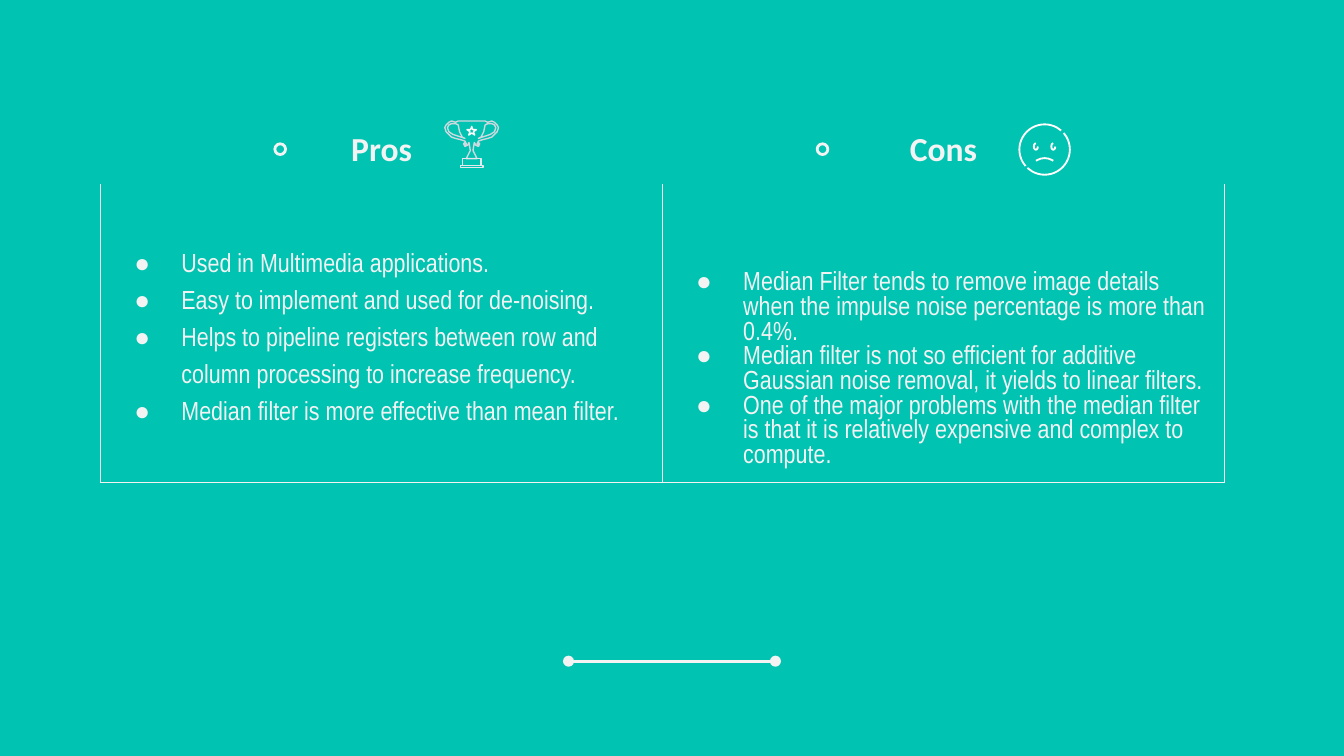
from collections import namedtuple

from lxml import etree
from pptx import Presentation, util as u
from pptx.dml.color import RGBColor
from pptx.enum import shapes, text
from pptx.oxml import ns

TEAL = RGBColor(0x00, 0xC3, 0xB1)
PALE = RGBColor(0xF3, 0xF3, 0xF3)
SILVER = RGBColor(0xCF, 0xD9, 0xE0)
MIST = RGBColor(0xE3, 0xE9, 0xED)
WHITE = RGBColor(0xFF, 0xFF, 0xFF)

WIDTH = u.Inches(10)
HEIGHT = WIDTH * 9 // 16
UNIT = WIDTH / 100
FINE = UNIT / 10
LIST_FONT = "Arial Narrow"
Box = namedtuple("Box", "left top width height")
Side = namedtuple("Side", "heading anchor spacing points")

PROS = Side("Pros", text.MSO_ANCHOR.MIDDLE, 1.5, [
    "Used in Multimedia applications.",
    "Easy to implement and used for de-noising.",
    "Helps to pipeline registers between row and column processing to increase frequency.",
    "Median filter is more effective than mean filter.",
])
CONS = Side("Cons", text.MSO_ANCHOR.BOTTOM, 1.0, [
    "Median Filter tends to remove image details when the impulse noise percentage is more than 0.4%.",
    "Median filter is not so efficient for additive Gaussian noise removal, it yields to linear filters.",
    "One of the major problems with the median filter is that it is relatively expensive and complex to compute.",
])

CUP_HALF = [(0, 0), (-10, 0), (-12, 1), (-15, 0), (-17, 1), (-19, 3), (-20, 5),
            (-19, 8), (-18, 9), (-15, 12), (-12, 13), (-8, 14), (-5, 15),
            (-4, 17), (-5, 18), (-5, 16), (-6, 17), (-5, 19), (-3, 18),
            (-2, 16), (-1, 22), (-4, 28)]
HANDLE_HOLE = [(-8, 12), (-11, 11), (-14, 10), (-17, 8), (-18, 5), (-17, 3),
               (-15, 2), (-12, 2), (-10, 3), (-9, 8), (-7, 12), (-5, 13)]


def emu(*lengths):
    """Turn grid units into whole EMU."""
    return [round(length * UNIT) for length in lengths]


def sub(parent, tag, **attributes):
    """Append a DrawingML element and return it."""
    return etree.SubElement(parent, ns.qn("a:" + tag), attributes)


def outline(shape, color, points):
    """Leave a shape unfilled and unshadowed, with a coloured line."""
    shape.shadow.inherit = False
    shape.fill.background()
    shape.line.color.rgb = color
    shape.line.width = u.Pt(points)


def add_outlined(parent, kind, box, color, points=0.75):
    """Add an outlined preset shape in the given box."""
    shape = parent.add_shape(kind, *emu(*box))
    outline(shape, color, points)
    return shape


def write(paragraph, words, font, size, bold):
    """Add one styled run."""
    run = paragraph.add_run()
    run.text = words
    run.font.name, run.font.size, run.font.bold = font, u.Pt(size), bold
    run.font.color.rgb = PALE


def style_cell(cell, ruled):
    """Set even margins, clear the fill and rule the visible edges."""
    cell.margin_left = cell.margin_right = u.Inches(0.1)
    cell.margin_top = cell.margin_bottom = u.Inches(0.1)
    properties = cell._tc.get_or_add_tcPr()
    for edge in "LRTB":
        border = sub(properties, "ln" + edge, w=str(u.Pt(0.75)))
        if edge in ruled:
            sub(sub(border, "solidFill"), "srgbClr", val=str(PALE))
        else:
            sub(border, "noFill")
    cell.fill.background()


def write_points(cell, side):
    """Fill a cell with a bulleted list."""
    cell.vertical_anchor = side.anchor
    frame = cell.text_frame
    for index, point in enumerate(side.points):
        paragraph = frame.add_paragraph() if index else frame.paragraphs[0]
        properties = paragraph._p.get_or_add_pPr()
        properties.set("marL", str(u.Inches(0.5)))
        properties.set("indent", str(u.Inches(-0.35)))
        sub(sub(properties, "buClr"), "srgbClr", val=str(PALE))
        sub(properties, "buFont", typeface=LIST_FONT)
        sub(properties, "buChar", char="●")
        paragraph.line_spacing = side.spacing
        write(paragraph, point, LIST_FONT, 14, False)


def add_comparison(slide, box, sides, heading_rows):
    """Lay out the sides as table columns, headings above lists."""
    table = slide.shapes.add_table(2, len(sides), *emu(*box)).table
    table.first_row = table.horz_banding = False
    table.rows[0].height, table.rows[1].height = emu(heading_rows, box.height - heading_rows)
    for column, side in enumerate(sides):
        heading, body = table.cell(0, column), table.cell(1, column)
        style_cell(heading, "")
        paragraph = heading.text_frame.paragraphs[0]
        paragraph.alignment = text.PP_ALIGN.CENTER
        write(paragraph, side.heading, "Calibri", 18, True)
        style_cell(body, "LRB")
        write_points(body, side)


def add_trophy(slide, box):
    """Draw a two-handled cup with a star on a stepped base."""
    group = slide.shapes.add_group_shape().shapes
    middle = box.left + box.width / 2
    mirror = [(-x, y) for x, y in reversed(CUP_HALF)]
    builder = group.build_freeform(*CUP_HALF[0], scale=FINE)
    builder.add_line_segments(CUP_HALF[1:] + mirror, close=True)
    for sign in (1, -1):
        hole = [(sign * x, y) for x, y in HANDLE_HOLE]
        builder.move_to(*hole[0])
        builder.add_line_segments(hole[1:], close=True)
    outline(builder.convert_to_shape(*emu(middle, box.top)), SILVER, 0.75)
    kinds = shapes.MSO_SHAPE
    for kind, drop, width, height, color in (
            (kinds.RECTANGLE, 2.8, 1.4, 0.5, MIST),
            (kinds.RECTANGLE, 3.3, 1.7, 0.15, MIST),
            (kinds.STAR_5_POINT, 0.4, 0.7, 0.65, WHITE)):
        part = Box(middle - width / 2, box.top + drop, width, height)
        add_outlined(group, kind, part, color)


def add_sad_face(slide, box):
    """Draw a frowning face from arcs centred in the box."""
    group = slide.shapes.add_group_shape().shapes
    middle, centre = box.left + box.width / 2, box.top + box.height / 2
    radius = box.width / 2
    for x, y, across, down, start, end in (
            (0, 0, radius, radius, 139, 311),
            (0, 0, radius, radius, 319, 133),
            (-0.65, -0.22, 0.15, 0.24, 0, 270),
            (0.65, -0.22, 0.15, 0.24, 0, 270),
            (0, 1.76, 1.12, 1.12, 235, 305)):
        part = Box(middle + x - across, centre + y - down, 2 * across, 2 * down)
        arc = add_outlined(group, shapes.MSO_SHAPE.ARC, part, WHITE, 1)
        arc.adjustments[0], arc.adjustments[1] = start * 0.6, end * 0.6


def add_divider(slide, box):
    """Draw a line with round ends across the box."""
    divider = slide.shapes.add_connector(
        shapes.MSO_CONNECTOR.STRAIGHT,
        *emu(box.left + box.width, box.top, box.left, box.top))
    divider.line.color.rgb = PALE
    divider.line.width = u.Pt(1.5)
    line = divider.line._get_or_add_ln()
    sub(line, "headEnd", type="oval")
    sub(line, "tailEnd", type="oval")
    sub(divider._element.spPr, "effectLst")


def main():
    """Build and save the slide."""
    deck = Presentation()
    deck.slide_width, deck.slide_height = WIDTH, HEIGHT
    slide = deck.slides.add_slide(deck.slide_layouts[6])
    slide.background.fill.solid()
    slide.background.fill.fore_color.rgb = TEAL
    add_comparison(slide, Box(7.5, 8.65, 83.6, 27.2), [PROS, CONS], 5)
    add_divider(slide, Box(42.3, 49.2, 15.4, 0))
    for left in (20.45, 60.8):
        add_outlined(slide.shapes, shapes.MSO_SHAPE.OVAL, Box(left, 10.7, 0.8, 0.8), PALE, 1.5)
    add_trophy(slide, Box(33.1, 9, 4, 3.5))
    add_sad_face(slide, Box(75.85, 9.25, 3.75, 3.75))
    deck.save("out.pptx")


if __name__ == "__main__":
    main()
